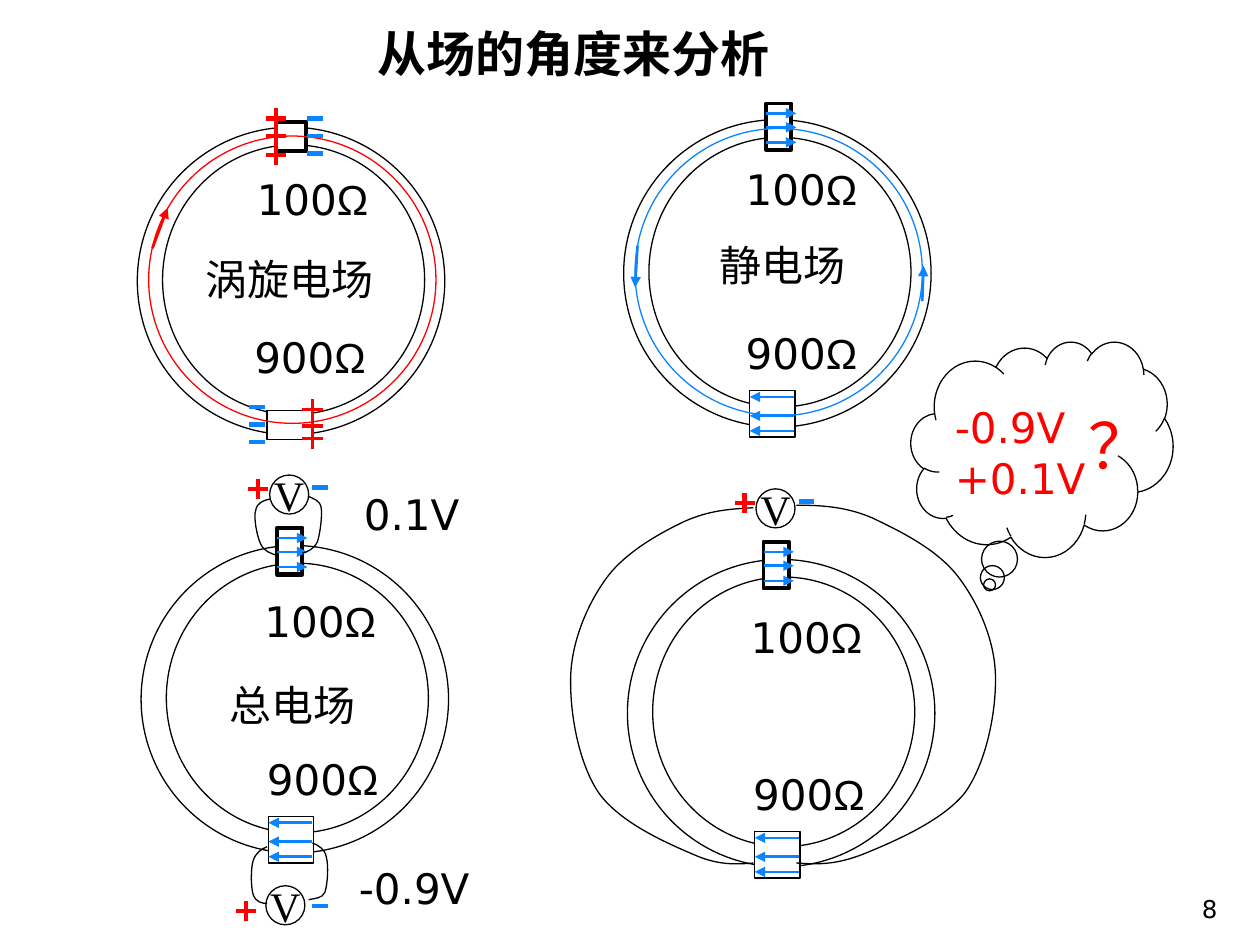
from lxml import etree
from pptx import Presentation
from pptx.dml.color import RGBColor
from pptx.enum.shapes import MSO_CONNECTOR, MSO_SHAPE
from pptx.enum.text import MSO_ANCHOR, MSO_AUTO_SIZE, PP_ALIGN
from pptx.oxml.ns import qn
from pptx.util import Inches, Pt

RECT, OVAL, CLOUD = MSO_SHAPE.RECTANGLE, MSO_SHAPE.OVAL, MSO_SHAPE.CLOUD_CALLOUT
STRAIGHT = MSO_CONNECTOR.STRAIGHT
LEFT, CENTER, RIGHT = PP_ALIGN.LEFT, PP_ALIGN.CENTER, PP_ALIGN.RIGHT
TOP, MIDDLE, BOTTOM = MSO_ANCHOR.TOP, MSO_ANCHOR.MIDDLE, MSO_ANCHOR.BOTTOM
FIT_SHAPE = MSO_AUTO_SIZE.SHAPE_TO_FIT_TEXT
BLACK, WHITE = RGBColor(0, 0, 0), RGBColor(255, 255, 255)
RED, BLUE = RGBColor(255, 0, 0), RGBColor(0x0A, 0x85, 0xFF)
SANS, CJK, SERIF, OMEGA_FONT = "DejaVu Sans", "Noto Sans CJK SC", "Times New Roman", "Arial"

# Each loop: ring corner, upper resistor (box, line width), lower resistor box,
# corners of the two value labels, colour of the field circle, field inside resistors
LOOPS = [
    ((1.09, 1.01), (2.19, 0.97, 0.24, 0.23), 2.5, (2.12, 3.26, 0.36, 0.23),
     (1.94, 1.33), (1.92, 2.58), RED, False),
    ((4.95, 0.95), (6.08, 0.82, 0.2, 0.37), 2, (5.95, 3.1, 0.36, 0.37),
     (5.82, 1.25), (5.82, 2.55), BLUE, True),
    ((1.12, 4.33), (2.2, 4.19, 0.2, 0.37), 2.5, (2.13, 6.48, 0.36, 0.37),
     (2, 4.68), (2.02, 5.93), None, True),
    ((4.98, 4.44), (6.06, 4.3, 0.2, 0.37), 2.25, (5.99, 6.6, 0.36, 0.37),
     (5.86, 4.8), (5.88, 6.05), None, True),
]
FIELD_DIRECTIONS = [
    ((1.21, 1.97), (1.33, 1.65), RED),
    ((5.06, 1.95), (5.04, 2.28), BLUE),
    ((7.32, 2.39), (7.33, 2.11), BLUE),
]
# Charges on the resistors of the first loop: x, ys, line width
PLUS_COLUMNS = [(2.19, (0.94, 1.08, 1.23), 2.5), (2.48, (3.25, 3.38, 3.48), 2.25)]
MINUS_COLUMNS = [(2.5, (0.94, 1.08, 1.22)), (2.04, (3.23, 3.37, 3.51))]

# Voltmeters: corner, plus centre, minus centre
METERS = [
    ((2.14, 3.77), (2.05, 3.88), (2.54, 3.87)),
    ((2.11, 7.03), (1.95, 7.23), (2.54, 7.19)),
    ((6, 3.88), (5.91, 3.99), (6.4, 3.98)),
]
# Meter leads as cubic curves: start, then two controls and an end per curve
LEADS = [
    [(2.4, 4.39), (2.44, 4.38), (2.49, 4.36), (2.52, 4.3),
     (2.54, 4.24), (2.56, 4.09), (2.55, 4.03), (2.54, 3.97), (2.49, 3.96), (2.45, 3.94)],
    [(2.2, 4.41), (2.15, 4.39), (2.1, 4.38), (2.07, 4.32),
     (2.04, 4.26), (2.01, 4.1), (2.03, 4.05), (2.04, 3.99), (2.09, 3.97), (2.15, 3.96)],
    [(2.12, 6.72), (2.07, 6.74), (2.03, 6.77), (2.01, 6.83),
     (1.99, 6.89), (1.99, 7.04), (2.01, 7.1), (2.03, 7.16), (2.08, 7.17), (2.12, 7.17)],
    [(2.48, 6.69), (2.53, 6.71), (2.58, 6.74), (2.59, 6.8),
     (2.61, 6.87), (2.6, 7.02), (2.58, 7.08), (2.56, 7.13), (2.5, 7.13), (2.45, 7.14)],
    [(5.98, 4.03), (5.8, 4.04), (5.63, 4.05), (5.43, 4.14),
     (5.24, 4.23), (4.97, 4.38), (4.82, 4.58), (4.67, 4.78), (4.54, 5.08), (4.53, 5.36),
     (4.52, 5.65), (4.59, 6.05), (4.75, 6.29), (4.92, 6.53), (5.29, 6.69), (5.5, 6.78),
     (5.7, 6.87), (5.84, 6.86), (5.98, 6.85)],
    [(6.32, 4.01), (6.51, 4.01), (6.71, 4.02), (6.92, 4.11),
     (7.13, 4.21), (7.42, 4.35), (7.59, 4.56), (7.75, 4.76), (7.89, 5.06), (7.9, 5.35),
     (7.91, 5.64), (7.83, 6.05), (7.66, 6.29), (7.48, 6.52), (7.07, 6.69), (6.85, 6.78),
     (6.62, 6.87), (6.47, 6.86), (6.32, 6.85)],
]
CAPTIONS = [
    ("0.1V", (2.79, 3.83, 0.98, 0.5), SANS),
    ("-0.9V", (2.75, 6.8, 1.13, 0.5), SANS),
    ("涡旋电场", (1.53, 1.96, 1.55, 0.5), CJK),
    ("静电场", (5.61, 1.85, 1.21, 0.5), CJK),
    ("总电场", (1.72, 5.34, 1.21, 0.5), CJK),
]

prs = Presentation()
prs.slide_width, prs.slide_height = Inches(10), Inches(7.5)
slide = prs.slides.add_slide(prs.slide_layouts[6])
shapes = slide.shapes


def style_outline(shape, fill, line, width):
    shape.shadow.inherit = False
    if fill is None:
        shape.fill.background()
    else:
        shape.fill.solid()
        shape.fill.fore_color.rgb = fill
    if line is None:
        shape.line.fill.background()
    else:
        shape.line.color.rgb = line
        shape.line.width = Pt(width)


def add_outline(kind, box, fill=None, line=BLACK, width=0.75):
    shape = shapes.add_shape(kind, *map(Inches, box))
    style_outline(shape, fill, line, width)
    return shape


def style_run(run, font, size, color, bold=False):
    run.font.name, run.font.size, run.font.bold = font, Pt(size), bold
    run.font.color.rgb = color
    etree.SubElement(run._r.get_or_add_rPr(), qn("a:ea")).set("typeface", CJK)


def write(shape, text, font=SANS, size=24, color=BLACK, bold=False,
          align=LEFT, anchor=TOP, wrap=False):
    frame = shape.text_frame
    frame.text = text
    frame.word_wrap, frame.vertical_anchor = wrap, anchor
    for paragraph in frame.paragraphs:
        paragraph.alignment = align
        for run in paragraph.runs:
            style_run(run, font, size, color, bold)


def add_text(text, box, **style):
    textbox = shapes.add_textbox(*map(Inches, box))
    write(textbox, text, **style)
    return textbox


def add_line(start, end, color, width=2.5, arrow=False):
    line = shapes.add_connector(STRAIGHT, *map(Inches, (*start, *end)))
    line.line.color.rgb, line.line.width = color, Pt(width)
    if arrow:
        etree.SubElement(line.line._get_or_add_ln(), qn("a:tailEnd")).set("type", "triangle")
    etree.SubElement(line._element.spPr, qn("a:effectLst"))


def add_minus(x, y):
    add_line((x - 0.06, y), (x + 0.06, y), BLUE)


def add_plus(x, y, width=2.5):
    add_line((x - 0.08, y), (x + 0.08, y), RED, width)
    add_line((x, y + 0.08), (x, y - 0.08), RED, width)


def add_resistance(value, corner):
    label = add_outline(RECT, (*corner, 0.76, 0.48), WHITE, None)
    write(label, value)
    omega = label.text_frame.paragraphs[0].add_run()
    omega.text = "Ω"
    style_run(omega, OMEGA_FONT, 24, BLACK)


def add_lead(points):
    start, *rest = [(Inches(x), Inches(y)) for x, y in points]
    builder = shapes.build_freeform(*start)
    builder.add_line_segments(rest, close=False)
    lead = builder.convert_to_shape()
    style_outline(lead, None, BLACK, 0.75)
    # Join every three segments into one cubic curve
    segments = list(lead._element.spPr.iter(qn("a:lnTo")))
    for i in range(0, len(segments), 3):
        curve = etree.Element(qn("a:cubicBezTo"))
        segments[i].addprevious(curve)
        for segment in segments[i:i + 3]:
            curve.append(segment[0])
            segment.getparent().remove(segment)


# Loops with their resistors and fields
for (x, y), upper, upper_width, lower, label_100, label_900, field, inside in LOOPS:
    add_outline(OVAL, (x, y, 2.44, 2.44))
    add_outline(OVAL, (x + 0.2, y + 0.14, 2.08, 2.14))
    add_resistance("100", label_100)
    add_resistance("900", label_900)
    add_outline(RECT, upper, WHITE, width=upper_width)
    add_outline(RECT, lower, WHITE)
    if field is not None:
        add_outline(OVAL, (x + 0.09, y + 0.07, 2.28, 2.28), line=field)
    if inside:
        for dy in (0.08, 0.19, 0.31):
            add_line((upper[0], upper[1] + dy), (upper[0] + 0.24, upper[1] + dy), BLUE, 1.5, True)
        for dy in (0.32, 0.2, 0.05):
            add_line((lower[0] + 0.35, lower[1] + dy), (lower[0], lower[1] + dy), BLUE, 1.5, True)

for start, end, color in FIELD_DIRECTIONS:
    add_line(start, end, color, 1.5, True)

# Charges
for x, ys, width in PLUS_COLUMNS:
    for y in ys:
        add_plus(x, y, width)
for x, ys in MINUS_COLUMNS:
    for y in ys:
        add_minus(x, y)

# Voltmeters
for lead in LEADS:
    add_lead(lead)
for corner, plus, minus in METERS:
    meter = add_outline(OVAL, (*corner, 0.31, 0.31))
    write(meter, "V", font=SERIF, align=CENTER, anchor=MIDDLE)
    add_plus(*plus)
    add_minus(*minus)

# Captions and title
for text, box, font in CAPTIONS:
    add_text(text, box, font=font).text_frame.auto_size = FIT_SHAPE
add_text("从场的角度来分析", (2.9, 0.14, 3.36, 0.57), size=28, bold=True)

# Question cloud
cloud = add_outline(CLOUD, (7.23, 2.71, 2.08, 1.71))
cloud.adjustments[0], cloud.adjustments[1] = -0.2, 0.63
write(cloud, "？", font=SERIF, size=36, color=RED, align=CENTER, anchor=MIDDLE)
indent = cloud.text_frame.paragraphs[0]._p.get_or_add_pPr()
indent.set("marL", str(Inches(1.38)))
indent.set("indent", "0")
add_text("-0.9V\n+0.1V", (7.48, 3.14, 1.26, 0.91), color=RED)

# Slide number
add_text("8", (7.68, 6.88, 2.08, 0.5), size=14, align=RIGHT, anchor=BOTTOM, wrap=True)

prs.save("out.pptx")
